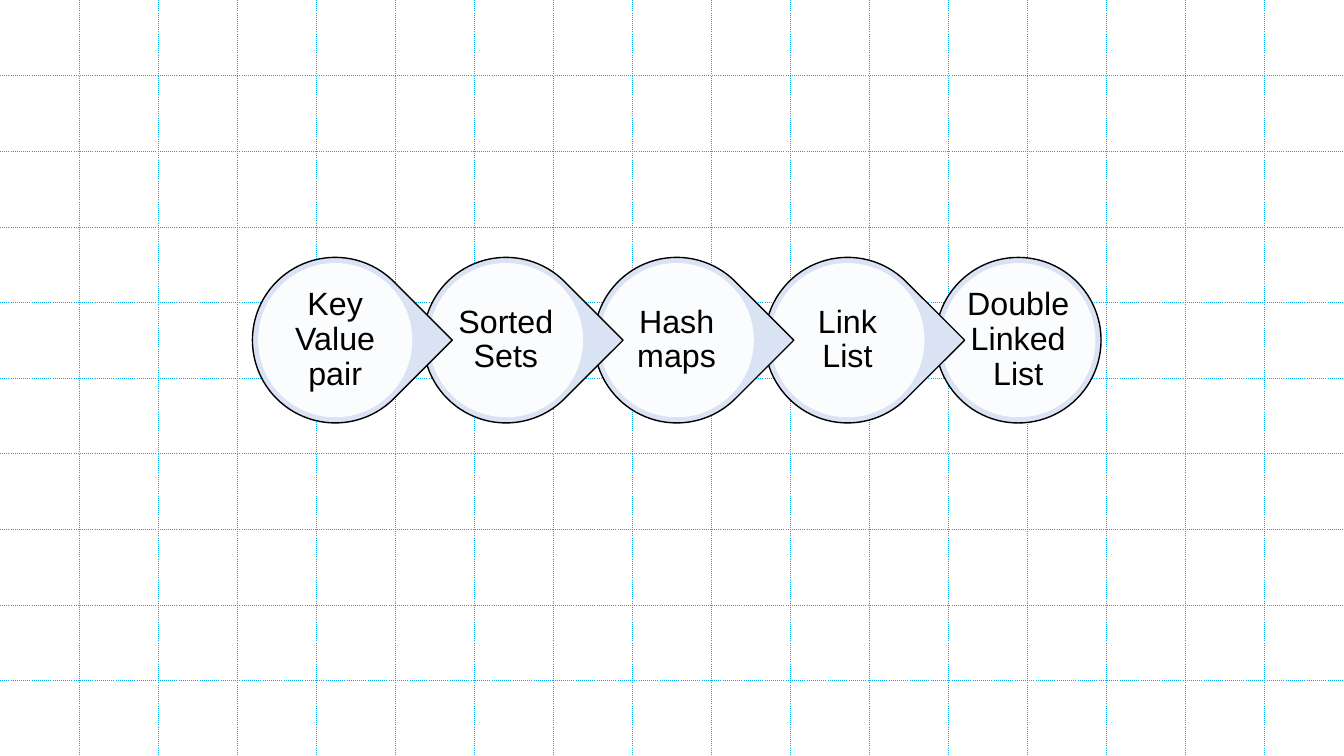
from lxml import etree
from pptx import Presentation
from pptx.dml.color import RGBColor
from pptx.enum.shapes import MSO_SHAPE
from pptx.enum.text import MSO_ANCHOR, PP_ALIGN
from pptx.oxml.ns import qn
from pptx.util import Inches, Pt

ELLIPSE = MSO_SHAPE.OVAL
TEARDROP = MSO_SHAPE.TEAR
MIDDLE = MSO_ANCHOR.MIDDLE
CENTER = PP_ALIGN.CENTER

BLACK = RGBColor(0x00, 0x00, 0x00)
WHITE = RGBColor(0xFF, 0xFF, 0xFF)
PALE_BLUE = RGBColor(0xDA, 0xE3, 0xF3)
GRID_BLUE = RGBColor(0x00, 0xB0, 0xF0)

COLUMNS, ROWS = 17, 10
STEPS = ["Key Value pair", "Sorted Sets", "Hash maps", "Link List", "Double Linked List"]
FIRST_COLUMN, STEP_COLUMNS, CHAIN_ROW = 4.24, 2.16, 4.5
OUTER_ROWS, INNER_ROWS, LABEL_ROWS = 2.19, 2.04, 1.45


def write(frame, text, *, font="Arial", size=23, color=BLACK, align=CENTER, spacing=0.9, inset=0.03):
    frame.word_wrap = True
    frame.vertical_anchor = MIDDLE
    frame.margin_left = frame.margin_right = Inches(inset)
    frame.margin_top = frame.margin_bottom = Inches(inset)
    para = frame.paragraphs[0]
    para.alignment = align
    para.line_spacing = spacing
    span = para.add_run()
    span.text = text
    span.font.name = font
    span.font.size = Pt(size)
    span.font.color.rgb = color


class Board:
    def __init__(self, deck):
        self.page = deck.slides.add_slide(deck.slide_layouts[6])
        self.width, self.height = deck.slide_width, deck.slide_height
        self.column = self.width / COLUMNS
        self.row = self.height / ROWS

    def square(self, column, row, rows):
        side = rows * self.row
        left = column * self.column - side / 2
        top = row * self.row - side / 2
        return int(left), int(top), int(side), int(side)

    def grid(self):
        frame = self.page.shapes.add_table(ROWS, COLUMNS, 0, 0, self.width, self.height)
        table = frame.table
        table.first_row = table.horz_banding = False
        for column in table.columns:
            column.width = int(self.column)
        for row in table.rows:
            row.height = int(self.row)
        for cell in table.iter_cells():
            cell.fill.background()
        for index, properties in enumerate(frame.element.iter(qn("a:tcPr"))):
            row, column = divmod(index, COLUMNS)
            inside = {"L": column > 0, "R": column < COLUMNS - 1, "T": row > 0, "B": row < ROWS - 1}
            for place, (side, visible) in enumerate(inside.items()):
                properties.insert(place, self.border(side, visible))

    def border(self, side, visible):
        line = etree.Element(qn(f"a:ln{side}"), w=str(Pt(0.25)))
        if visible:
            fill = etree.SubElement(line, qn("a:solidFill"))
            etree.SubElement(fill, qn("a:srgbClr"), val=str(GRID_BLUE))
            etree.SubElement(line, qn("a:prstDash"), val="sysDot")
        else:
            etree.SubElement(line, qn("a:noFill"))
        return line

    def shape(self, kind, column, row, rows, *, fill, line=None, rotation=0, opacity=100):
        shape = self.page.shapes.add_shape(kind, *self.square(column, row, rows))
        shape.shadow.inherit = False
        shape.rotation = rotation
        shape.fill.solid()
        shape.fill.fore_color.rgb = fill
        if opacity < 100:
            color = next(shape.element.spPr.iter(qn("a:srgbClr")))
            etree.SubElement(color, qn("a:alpha"), val=str(opacity * 1000))
        if line is None:
            shape.line.fill.background()
        else:
            shape.line.color.rgb = line
            shape.line.width = Pt(1)

    def label(self, text, column, row, rows):
        box = self.page.shapes.add_textbox(*self.square(column, row, rows))
        write(box.text_frame, text)

    def step(self, text, column, is_last):
        kind, rotation = (ELLIPSE, 0) if is_last else (TEARDROP, 45)
        self.shape(kind, column, CHAIN_ROW, OUTER_ROWS, fill=PALE_BLUE, line=BLACK, rotation=rotation)
        self.shape(ELLIPSE, column, CHAIN_ROW, INNER_ROWS, fill=WHITE, opacity=90)
        self.label(text, column, CHAIN_ROW, LABEL_ROWS)


def main():
    deck = Presentation()
    deck.slide_width, deck.slide_height = Inches(13.33), Inches(7.5)
    board = Board(deck)
    board.grid()
    last = len(STEPS) - 1
    for index in range(last, -1, -1):
        board.step(STEPS[index], FIRST_COLUMN + index * STEP_COLUMNS, index == last)
    deck.save("out.pptx")


if __name__ == "__main__":
    main()
